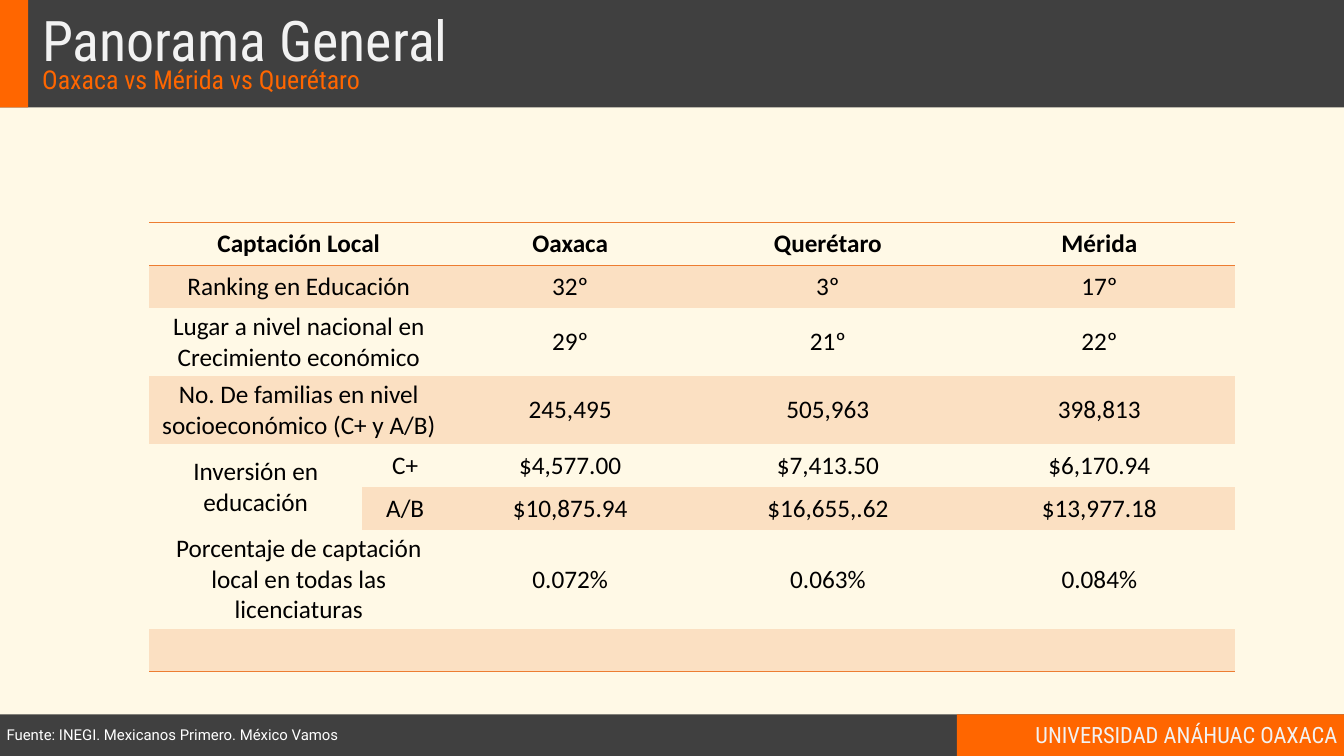
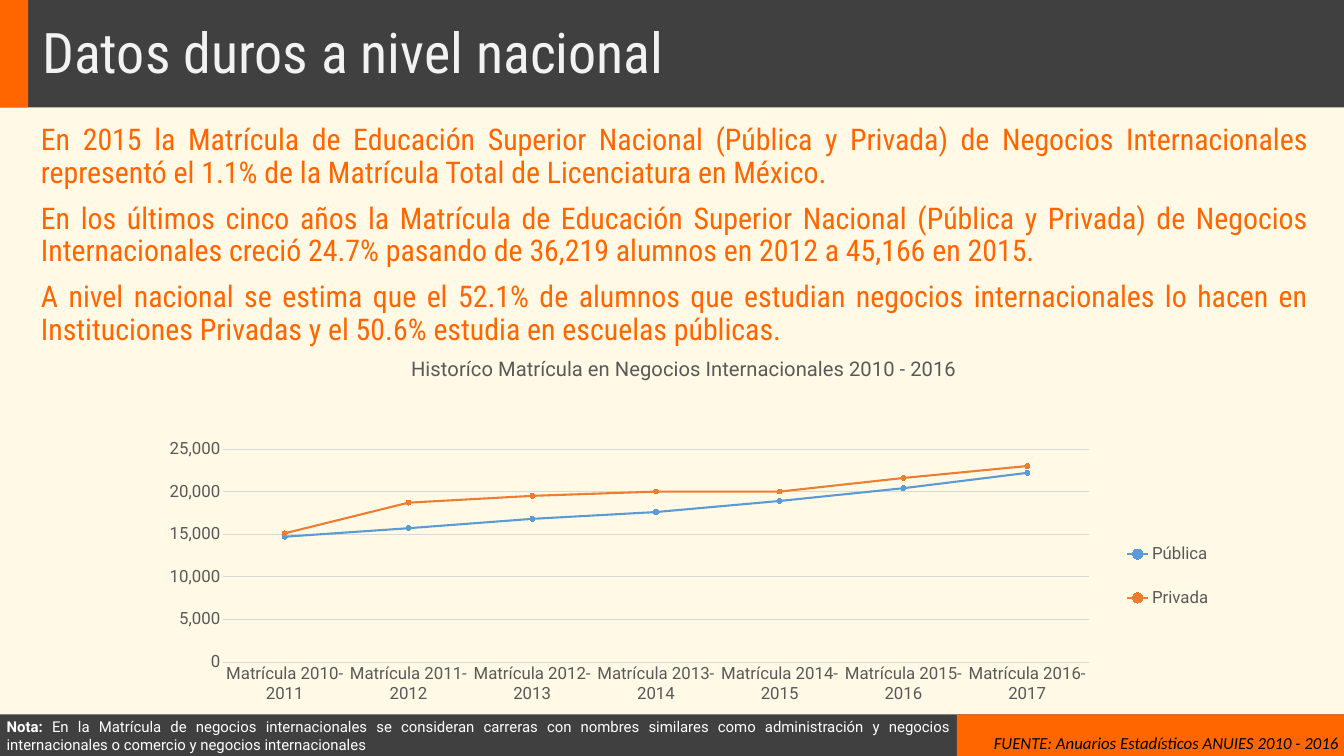
from lxml.etree import SubElement as Sub
from pptx import Presentation
from pptx.chart.data import CategoryChartData as Data
from pptx.dml.color import RGBColor as RGB
from pptx.enum.chart import XL_CHART_TYPE as Kind, XL_LEGEND_POSITION as Pos
from pptx.enum.chart import XL_MARKER_STYLE as Mark, XL_TICK_MARK as Tick
from pptx.enum.shapes import MSO_SHAPE as Shape
from pptx.enum.text import MSO_ANCHOR as Anchor, PP_ALIGN as Align
from pptx.oxml import parse_xml
from pptx.oxml.ns import nsdecls, qn
from pptx.util import Inches, Pt

DARK = RGB(0x40, 0x40, 0x40)
ORANGE = RGB(0xFF, 0x66, 0x00)
CREAM = RGB(0xFF, 0xF9, 0xE6)
PEACH = RGB(0xFB, 0xE0, 0xC2)
RUST = RGB(0xED, 0x7D, 0x31)
BLUE = RGB(0x5B, 0x9B, 0xD5)
PALE = RGB(0xF2, 0xF2, 0xF2)
WHITE = RGB(0xFF, 0xFF, 0xFF)
BLACK = RGB(0, 0, 0)
GREY = RGB(0x59, 0x59, 0x59)
RULE = RGB(0xD9, 0xD9, 0xD9)

HEAD, BODY, PLAIN = "Roboto Condensed", "Roboto", "Calibri"
TITLE = dict(name=HEAD, size=Pt(60), color=PALE)
SUBHEAD = dict(name=HEAD, size=Pt(27.8), color=ORANGE)
LEAD = dict(name=HEAD, size=Pt(32), color=ORANGE)
BRAND = dict(name=HEAD, size=Pt(24), color=PALE)
NOTE = dict(name=BODY, size=Pt(16), color=WHITE)
SOURCE = dict(name=PLAIN, size=Pt(18), color=BLACK, italic=True)
CELL = dict(name=PLAIN, size=Pt(27), color=BLACK)
LABEL = dict(name=BODY, size=Pt(18), color=GREY)

WIDE, TALL = 20, 11.25
FOOT, SPLIT = 10.63, 14.24
BARS = [
    ((0, FOOT, WIDE, 0.62), DARK),
    ((SPLIT, FOOT, WIDE - SPLIT, 0.62), ORANGE),
    ((0, 0, WIDE, 1.6), DARK),
    ((0, 0, 0.42, 1.6), ORANGE),
]

COLS = [3.17, 1.28, 3.63, 4.04, 4.04]
ROWS = [0.64, 0.64, 1.01, 1.01, 0.64, 0.64, 1.47, 0.64]
CELLS = [
    ["Captación Local", "", "Oaxaca", "Querétaro", "Mérida"],
    ["Ranking en Educación", "", "32º", "3º", "17º"],
    ["Lugar a nivel nacional en Crecimiento económico", "", "29º", "21º", "22º"],
    ["No. De familias en nivel socioeconómico (C+ y A/B)", "",
     "245,495", "505,963", "398,813"],
    ["Inversión en educación", "C+", "$4,577.00", "$7,413.50", "$6,170.94"],
    ["", "A/B", "$10,875.94", "$16,655,.62", "$13,977.18"],
    ["Porcentaje de captación local en todas las licenciaturas", "",
     "0.072%", "0.063%", "0.084%"],
    [""] * 5,
]
FACTS = [
    "En 2015 la Matrícula de Educación Superior Nacional (Pública y Privada) de "
    "Negocios Internacionales representó el 1.1% de la Matrícula Total de "
    "Licenciatura en México.",
    "En los últimos cinco años la Matrícula de Educación Superior Nacional (Pública y "
    "Privada) de Negocios Internacionales creció 24.7% pasando de 36,219 alumnos en "
    "2012 a 45,166 en 2015.",
    "A nivel nacional se estima que el 52.1% de alumnos que estudian negocios "
    "internacionales lo hacen en Instituciones Privadas y el 50.6% estudia en "
    "escuelas públicas.",
]
REMARK = [
    ("Nota: ", True),
    ("En la Matrícula de negocios internacionales se consideran carreras con nombres "
     "similares como administración y negocios internacionales o comercio y negocios "
     "internacionales", False),
]
SERIES = [
    ("Pública", [14700, 15700, 16800, 17600, 18900, 20400, 22200], BLUE),
    ("Privada", [15100, 18700, 19500, 20000, 20000, 21600, 23000], RUST),
]


def put(item, look):
    """Set each format value on an object, colours included."""
    for key, val in look.items():
        if key == "color":
            item.color.rgb = val
        else:
            setattr(item, key, val)


def write(frame, lines, look, **form):
    """Fill a text frame with paragraphs, each a string or a list of bold-marked runs."""
    gap = form.pop("gap", None)
    for num, line in enumerate(lines):
        para = frame.add_paragraph() if num else frame.paragraphs[0]
        put(para, form)
        if num and gap:
            para.space_before = gap
        for text, bold in [(line, False)] if isinstance(line, str) else line:
            run = para.add_run()
            run.text = text
            put(run.font, dict(look, bold=bold))


def label(slide, box, lines, look, wrap=True, anchor=Anchor.TOP, right=0.1, **form):
    """Add a text box."""
    frame = slide.shapes.add_textbox(*map(Inches, box)).text_frame
    put(frame, dict(word_wrap=wrap, vertical_anchor=anchor, margin_right=Inches(right)))
    write(frame, lines, look, **form)


def base(deck, title, top):
    """Add a slide with its backdrop, bars and title."""
    slide = deck.slides.add_slide(deck.slide_layouts[6])
    back = slide.background.fill
    back.solid()
    back.fore_color.rgb = CREAM
    for box, color in BARS:
        bar = slide.shapes.add_shape(Shape.RECTANGLE, *map(Inches, box))
        bar.shadow.inherit = False
        bar.fill.solid()
        bar.fill.fore_color.rgb = color
        bar.line.fill.background()
    label(slide, (0.53, top, 19.3, 0.84), [title], TITLE, line_spacing=0.9)
    return slide


def edge(cell, sides):
    """Draw rules on the given sides of a cell."""
    props = cell._tc.get_or_add_tcPr()
    for spot, side in enumerate(sides):
        line = parse_xml(f'<a:ln{side} {nsdecls("a")} w="12700"><a:solidFill>'
                         f'<a:srgbClr val="{RUST}"/></a:solidFill></a:ln{side}>')
        props.insert(spot, line)


def grid(slide, left, top):
    """Add the table that compares the cities."""
    box = map(Inches, (left, top, sum(COLS), sum(ROWS)))
    table = slide.shapes.add_table(len(ROWS), len(COLS), *box).table
    put(table, dict(first_row=False, horz_banding=False))
    style = table._tbl.tblPr.find(qn("a:tableStyleId"))
    style.text = "{2D5ABB26-0587-4C30-8999-92F81FD0307C}"
    for col, size in zip(table.columns, COLS):
        col.width = Inches(size)
    for row, size in zip(table.rows, ROWS):
        row.height = Inches(size)
    rules = {0: "TB", len(ROWS) - 1: "B"}
    for y, row in enumerate(CELLS):
        if not row[1]:
            table.cell(y, 0).merge(table.cell(y, 1))
        for x, text in enumerate(row):
            cell = table.cell(y, x)
            cell.vertical_anchor = Anchor.MIDDLE
            if y % 2:
                cell.fill.solid()
                cell.fill.fore_color.rgb = PEACH
            else:
                cell.fill.background()
            edge(cell, rules.get(y, ""))
            if text:
                write(cell.text_frame, [[(text, y == 0)]], CELL, alignment=Align.CENTER)
    table.cell(4, 0).merge(table.cell(5, 0))


def place(part, spot, box, inner=False):
    """Give a chart part a fixed place, as shares of the chart."""
    old = part.find(qn("c:layout"))
    if old is not None:
        part.remove(old)
    layout = parse_xml(f'<c:layout {nsdecls("c")}/>')
    part.insert(spot, layout)
    hand = Sub(layout, qn("c:manualLayout"))
    vals = {"layoutTarget": "inner"} if inner else {}
    vals.update(xMode="edge", yMode="edge", **dict(zip("xywh", box)))
    for key, val in vals.items():
        Sub(hand, qn(f"c:{key}")).set("val", str(val))


def trend(slide, box):
    """Add the line chart of enrolment."""
    data = Data(number_format="#,##0")
    data.categories = [f"Matrícula {year}-{year + 1}" for year in range(2010, 2017)]
    for name, vals, _ in SERIES:
        data.add_series(name, vals)
    chart = slide.shapes.add_chart(Kind.LINE_MARKERS, *map(Inches, box), data).chart
    put(chart, dict(has_title=True, has_legend=True))
    put(chart.font, LABEL)
    write(chart.chart_title.text_frame,
          ["Historíco Matrícula en Negocios Internacionales 2010 - 2016"],
          dict(LABEL, size=Pt(21.6)))
    put(chart.legend, dict(position=Pos.RIGHT, include_in_layout=False))
    put(chart.legend.font, LABEL)
    place(chart._chartSpace.chart.plotArea, 0, (0.09, 0.29, 0.77, 0.57), True)
    place(chart.legend._element, 1, (0.88, 0.48, 0.1, 0.3))
    cats, vals = chart.category_axis, chart.value_axis
    for axis in (cats, vals):
        put(axis, dict(major_tick_mark=Tick.NONE, minor_tick_mark=Tick.NONE))
        put(axis.tick_labels.font, LABEL)
    put(vals, dict(minimum_scale=0, maximum_scale=25000, major_unit=5000))
    put(vals.tick_labels, dict(number_format="#,##0", number_format_is_linked=False))
    vals.format.line.fill.background()
    for line in (cats.format.line, vals.major_gridlines.format.line):
        put(line, dict(color=RULE, width=Pt(0.75)))
    chart.plots[0].vary_by_categories = False
    for item, (_, _, color) in zip(chart.plots[0].series, SERIES):
        item.smooth = False
        put(item.format.line, dict(color=color, width=Pt(2.25)))
        put(item.marker, dict(style=Mark.CIRCLE, size=5))
        item.marker.format.fill.solid()
        item.marker.format.fill.fore_color.rgb = color
        item.marker.format.line.color.rgb = color


def cities(deck):
    """Build the slide that compares three cities."""
    slide = base(deck, "Panorama General", 0.14)
    label(slide, (SPLIT, FOOT, WIDE - SPLIT, 0.6), ["UNIVERSIDAD ANÁHUAC OAXACA"],
          BRAND, anchor=Anchor.MIDDLE, alignment=Align.RIGHT)
    label(slide, (0.53, 0.99, 19.3, 0.49), ["Oaxaca vs Mérida vs Querétaro"],
          SUBHEAD, line_spacing=0.8)
    grid(slide, 2.22, 3.31)
    label(slide, (0, 10.75, 5.33, 0.37),
          ["Fuente: INEGI. Mexicanos Primero. México Vamos"], NOTE, wrap=False)


def nation(deck):
    """Build the slide of national figures."""
    slide = base(deck, "Datos duros a nivel nacional", 0.33)
    label(slide, (0.51, 1.81, 19.08, 3.49), FACTS, LEAD,
          alignment=Align.JUSTIFY, line_spacing=0.9, gap=Pt(15))
    label(slide, (0, FOOT, SPLIT, 0.62), [REMARK], NOTE, alignment=Align.JUSTIFY)
    trend(slide, (1.81, 5.07, 16.74, 5.56))
    label(slide, (14.69, 10.85, 5.31, 0.4),
          ["FUENTE: Anuarios Estadísticos ANUIES 2010 - 2016"], SOURCE, right=0)


def main():
    """Build the deck and save it."""
    deck = Presentation()
    put(deck, dict(slide_width=Inches(WIDE), slide_height=Inches(TALL)))
    cities(deck)
    nation(deck)
    deck.save("out.pptx")


if __name__ == "__main__":
    main()
